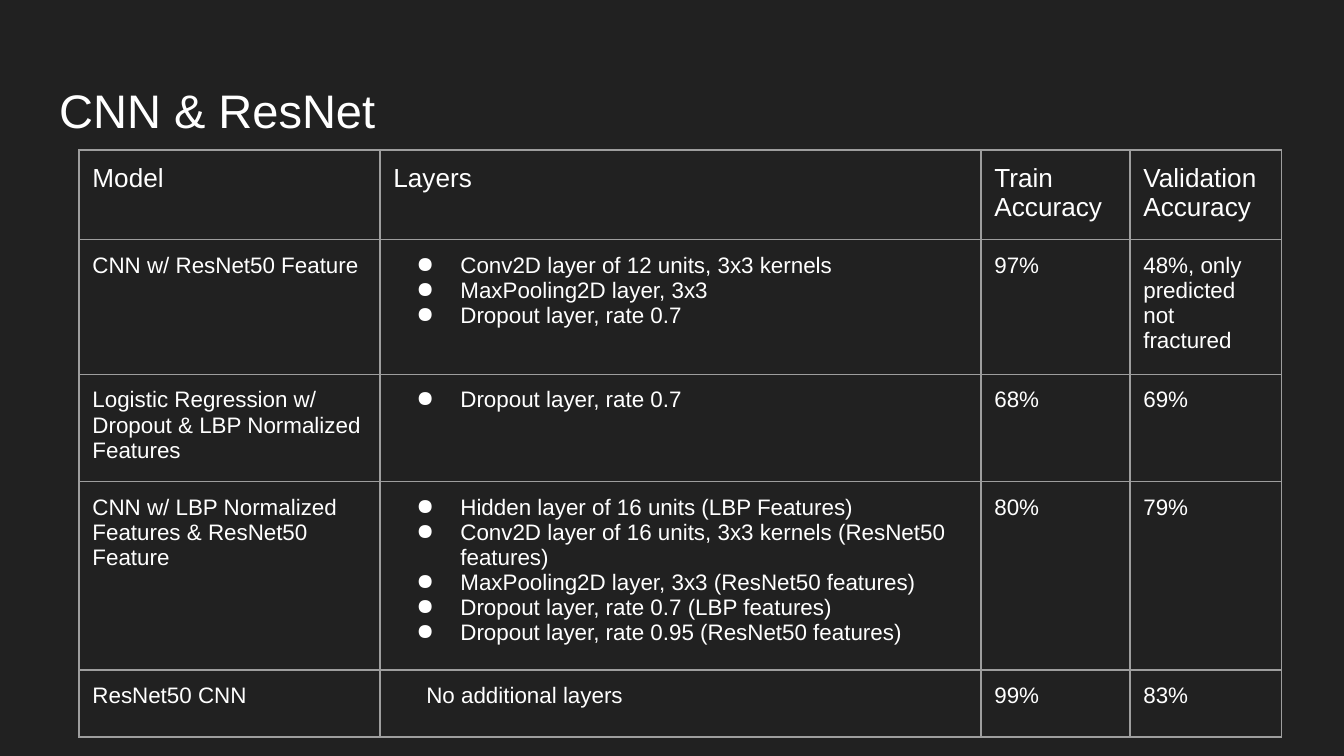
"""Build the CNN & ResNet model comparison slide."""
from lxml.etree import SubElement
from pptx import Presentation
from pptx.dml.color import RGBColor as RGB
from pptx.enum.text import MSO_ANCHOR as ANCHOR
from pptx.oxml.ns import qn
from pptx.util import Pt

PX = 914400 / 134.4
COLORS = {"background": "212121", "text": "FFFFFF", "border": "9E9E9E"}
INSET = round(13.44 * PX)
MARGINS = {f"margin_{side}": INSET for side in ("left", "right", "top", "bottom")}
COLUMNS = [301, 601, 149, 152]
ROWS = [79, 118, 94, 165, 67]
MODELS = [
    ("Model", ["Layers"], "Train Accuracy", "Validation Accuracy"),
    ("CNN w/ ResNet50 Feature",
     ["Conv2D layer of 12 units, 3x3 kernels",
      "MaxPooling2D layer, 3x3",
      "Dropout layer, rate 0.7"],
     "97%", "48%, only predicted not fractured"),
    ("Logistic Regression w/ Dropout & LBP Normalized Features",
     ["Dropout layer, rate 0.7"], "68%", "69%"),
    ("CNN w/ LBP Normalized Features & ResNet50 Feature",
     ["Hidden layer of 16 units (LBP Features)",
      "Conv2D layer of 16 units, 3x3 kernels (ResNet50 features)",
      "MaxPooling2D layer, 3x3 (ResNet50 features)",
      "Dropout layer, rate 0.7 (LBP features)",
      "Dropout layer, rate 0.95 (ResNet50 features)"],
     "80%", "79%"),
    ("ResNet50 CNN", ["No additional layers"], "99%", "83%"),
]


def px(length):
    return round(length * PX)


def write(paragraph, words, size):
    run = paragraph.add_run()
    run.text = words
    for key, value in {"name": "Arial", "size": Pt(size)}.items():
        setattr(run.font, key, value)
    run.font.color.rgb = RGB.from_string(COLORS["text"])


deck = Presentation()
deck.slide_width, deck.slide_height = px(1344), px(756)
slide = deck.slides.add_slide(deck.slide_layouts[6])
slide.background.fill.solid()
slide.background.fill.fore_color.rgb = RGB.from_string(COLORS["background"])

heading = slide.shapes.add_textbox(px(46), px(66), px(1253), px(85)).text_frame
for key, value in {**MARGINS, "word_wrap": True, "vertical_anchor": ANCHOR.BOTTOM}.items():
    setattr(heading, key, value)
write(heading.paragraphs[0], "CNN & ResNet", 25.2)

comparison = slide.shapes.add_table(
    len(ROWS), len(COLUMNS), px(79), px(150), px(sum(COLUMNS)), px(sum(ROWS))).table
for key in ("first_row", "horz_banding"):
    setattr(comparison, key, False)
for column, width in zip(comparison.columns, COLUMNS):
    column.width = px(width)
for row, height in zip(comparison.rows, ROWS):
    row.height = px(height)

for r, model in enumerate(MODELS):
    for c, content in enumerate(model):
        cell = comparison.cell(r, c)
        for key, value in {**MARGINS, "vertical_anchor": ANCHOR.TOP}.items():
            setattr(cell, key, value)
        props = cell._tc.get_or_add_tcPr()
        for edge in ("a:lnL", "a:lnR", "a:lnT", "a:lnB"):
            border = SubElement(props, qn(edge), w=str(Pt(0.75)))
            SubElement(SubElement(border, qn("a:solidFill")), qn("a:srgbClr"),
                       val=COLORS["border"])
        cell.fill.background()

        items = content if c == 1 else [content]
        for i, item in enumerate(items):
            paragraph = cell.text_frame.paragraphs[0] if i == 0 else cell.text_frame.add_paragraph()
            write(paragraph, item, 12 if r else 14)
            if c == 1 and r:
                bulleted = r < len(MODELS) - 1
                layout = paragraph._p.get_or_add_pPr()
                layout.set("marL", str(px(67)))
                layout.set("indent", str(px(-44 if bulleted else -34)))
                if bulleted:
                    SubElement(SubElement(layout, qn("a:buClr")), qn("a:srgbClr"),
                               val=COLORS["text"])
                    SubElement(layout, qn("a:buChar"), char="●")

deck.save("out.pptx")
